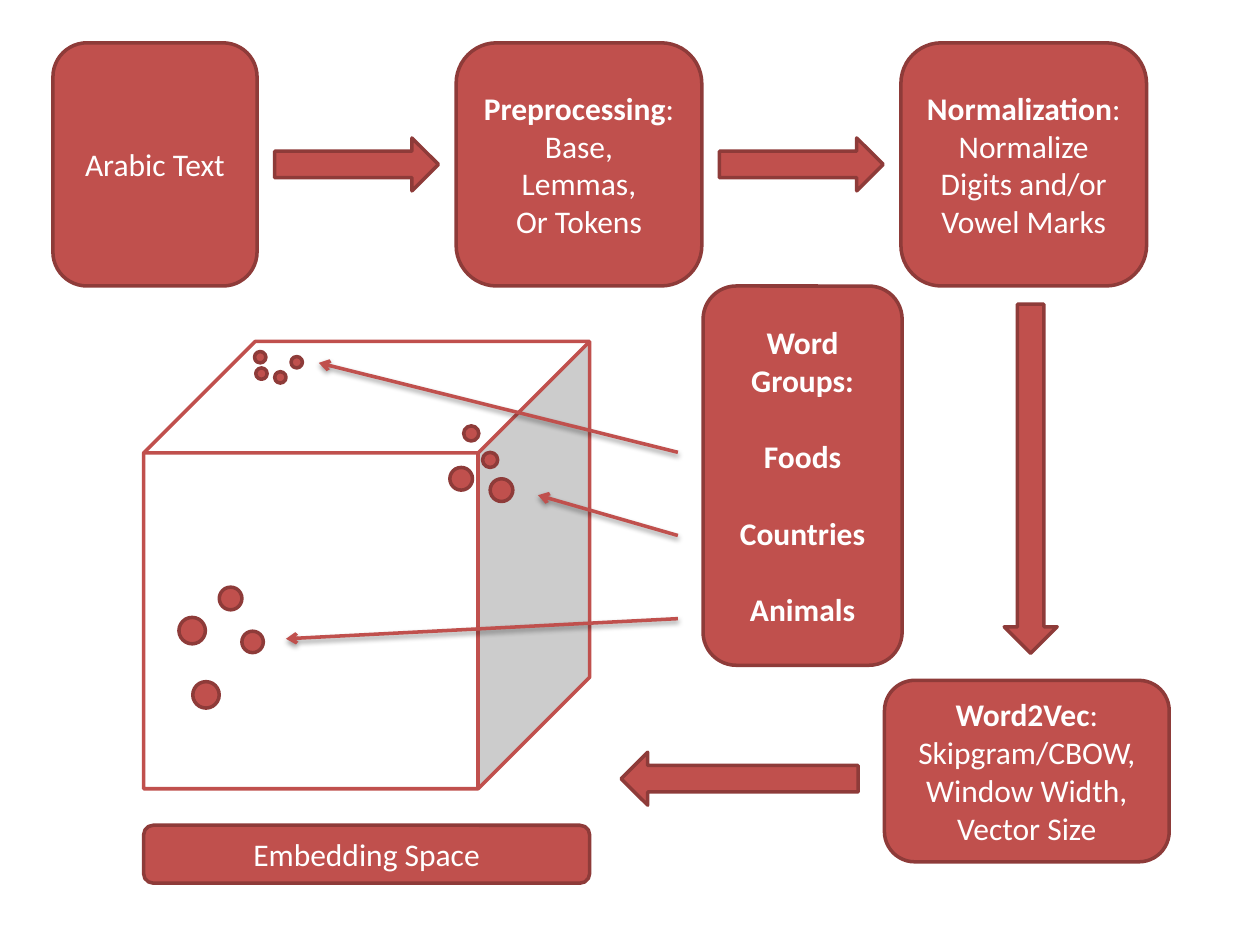
from dataclasses import dataclass
from lxml import etree
from pptx import Presentation
from pptx.dml.color import RGBColor
from pptx.enum.shapes import MSO_CONNECTOR as CONN, MSO_SHAPE as SHAPE
from pptx.enum.text import MSO_ANCHOR as ANCHOR, PP_ALIGN as ALIGN
from pptx.oxml import parse_xml
from pptx.oxml.ns import nsdecls, qn
from pptx.util import Inches, Pt


@dataclass(frozen=True)
class Theme:
    red: str = "C0504D"
    edge: str = "8E3B39"
    white: str = "FFFFFF"
    font: str = "Calibri"
    size: int = 18
    line: int = 2


T = Theme()
ARROW_H = 0.42
SHADOW = (f'<a:effectLst {nsdecls("a")}><a:outerShdw blurRad="{Pt(3.1)}" '
          f'dist="{Pt(1.6)}" dir="5400000" rotWithShape="0"><a:srgbClr val="000000">'
          '<a:alpha val="38000"/></a:srgbClr></a:outerShdw></a:effectLst>')


def add_shape(slide, kind, x, y, w, h, fill=T.red, line=T.edge):
    sp = slide.shapes.add_shape(kind, *map(Inches, (x, y, w, h)))
    sp.shadow.inherit = False
    sp.fill.solid()
    sp.fill.fore_color.rgb = RGBColor.from_string(fill)
    sp.line.color.rgb = RGBColor.from_string(line)
    sp.line.width = Pt(T.line)
    return sp


def add_box(slide, x, y, w, h, heading="", lines=(), bold=False, gap=0):
    tf = add_shape(slide, SHAPE.ROUNDED_RECTANGLE, x, y, w, h).text_frame
    tf.word_wrap, tf.vertical_anchor = True, ANCHOR.MIDDLE
    paragraphs = [[(heading, True), (":", bold)]] if heading else []
    paragraphs += [[(text, bold)] for text in lines]
    for i, runs in enumerate(paragraphs):
        p = tf.add_paragraph() if i else tf.paragraphs[0]
        p.alignment = ALIGN.CENTER
        p.space_before = Pt(gap if i else 0)
        for text, strong in runs:
            r = p.add_run()
            r.text = text
            formats = {"name": T.font, "size": Pt(T.size), "bold": strong}
            for key, value in formats.items():
                setattr(r.font, key, value)
            r.font.color.rgb = RGBColor.from_string(T.white)


def add_block_arrow(slide, cx, cy, length, rotation=0):
    sp = add_shape(slide, SHAPE.RIGHT_ARROW, cx - length / 2, cy - ARROW_H / 2,
                   length, ARROW_H)
    sp.rotation = rotation


def add_pointer(slide, start, end):
    cn = slide.shapes.add_connector(CONN.STRAIGHT, *map(Inches, (*start, *end)))
    cn.line.color.rgb = RGBColor.from_string(T.red)
    cn.line.width = Pt(T.line)
    etree.SubElement(cn.line._get_or_add_ln(), qn("a:tailEnd"), type="arrow")
    cn._element.spPr.append(parse_xml(SHADOW))


def input_steps(slide, x, y, h):
    steps = [
        (1.62, "", ["Arabic Text"]),
        (1.95, "Preprocessing", ["Base,", "Lemmas,", "Or Tokens"]),
        (1.95, "Normalization", ["Normalize Digits and/or Vowel Marks"]),
    ]
    gap, length = 0.14, 1.3
    for i, (w, heading, lines) in enumerate(steps):
        if i:
            add_block_arrow(slide, x + gap + length / 2, y + h / 2, length)
            x += length + 2 * gap
        add_box(slide, x, y, w, h, heading, lines)
        x += w


def training_step(slide, x, y, w, h):
    add_block_arrow(slide, x + w / 2 + 0.03, y - 1.6, 2.77, 90)
    add_box(slide, x, y, w, h, "Word2Vec",
            ["Skipgram/CBOW,", "Window Width,", "Vector Size"])
    add_block_arrow(slide, x - 1.15, y + 0.78, 1.88, 180)


def embedding_space(slide, x, y, w, h):
    add_shape(slide, SHAPE.CUBE, x, y, w, h, T.white, T.red)
    add_box(slide, x, y + h + 0.29, w, 0.46, lines=["Embedding Space"])
    clusters = {
        "foods": [(0.88, 0.08, 0.09), (1.04, 0.24, 0.09),
                  (1.17, 0.12, 0.09), (0.89, 0.21, 0.09)],
        "animals": [(0.28, 2.19, 0.21), (0.39, 2.7, 0.21),
                    (0.6, 1.95, 0.18), (0.78, 2.3, 0.17)],
        "countries": [(2.43, 1.0, 0.18), (2.69, 0.88, 0.12),
                      (2.75, 1.09, 0.18), (2.54, 0.67, 0.12)],
    }
    for words in clusters.values():
        for dx, dy, d in words:
            add_shape(slide, SHAPE.OVAL, x + dx, y + dy, d, d)


def word_groups(slide, x, y, w, h):
    add_box(slide, x, y, w, h, bold=True, gap=22,
            lines=["Word Groups:", "Foods", "Countries", "Animals"])
    targets = [(2.53, 2.88), (4.27, 3.93), (2.27, 5.07)]
    for i, target in enumerate(targets):
        add_pointer(slide, (x - 0.2, y + 1.32 + 0.66 * i), target)


prs = Presentation()
prs.slide_width, prs.slide_height = Inches(10), Inches(7.5)
slide = prs.slides.add_slide(prs.slide_layouts[6])
input_steps(slide, 0.42, 0.34, 1.93)
training_step(slide, 7.02, 5.4, 2.26, 1.44)
embedding_space(slide, 1.14, 2.71, 3.54, 3.55)
word_groups(slide, 5.58, 2.27, 1.58, 3.01)
prs.save("out.pptx")
